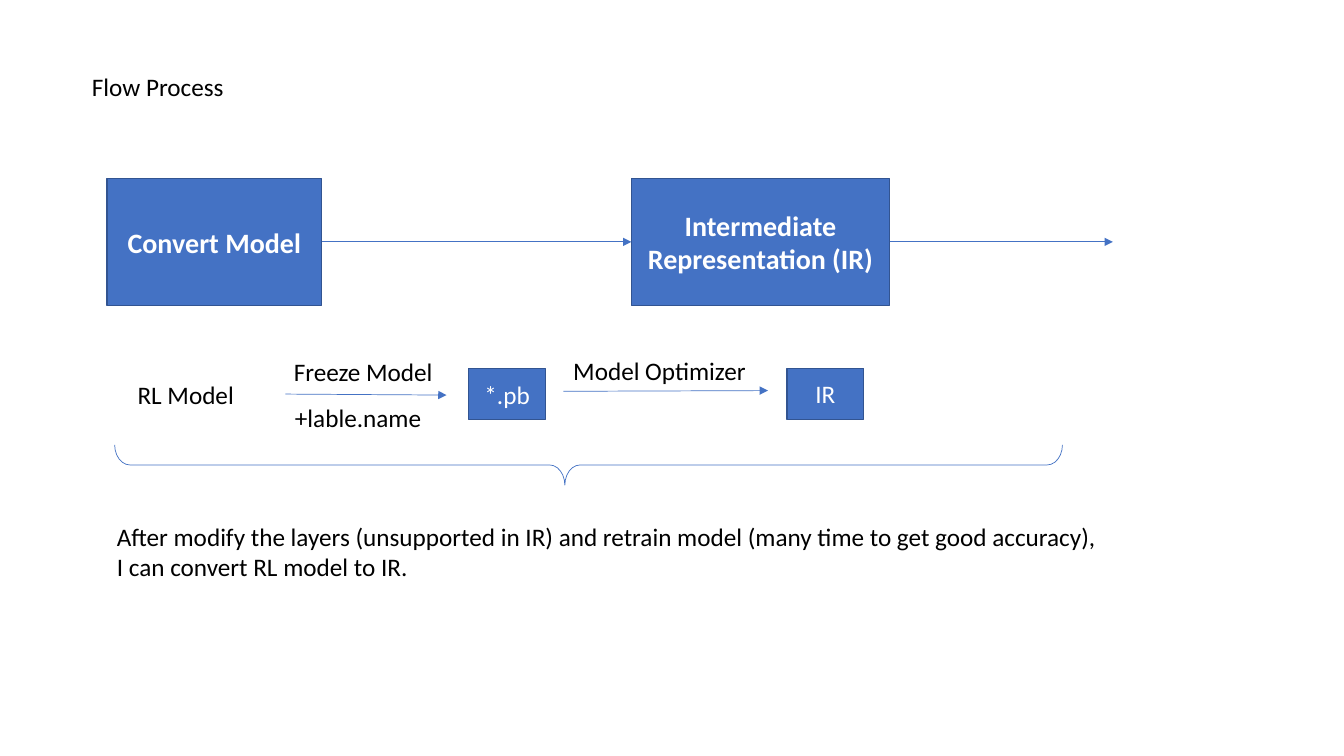
"""Build the flow process slide, from model conversion to intermediate representation."""
from dataclasses import dataclass
from typing import Optional

from lxml import etree
from pptx import Presentation
from pptx.dml.color import RGBColor
from pptx.enum.shapes import MSO_CONNECTOR, MSO_SHAPE
from pptx.enum.text import MSO_ANCHOR, MSO_AUTO_SIZE, PP_ALIGN
from pptx.oxml.ns import qn
from pptx.shapes.autoshape import Shape
from pptx.slide import Slide
from pptx.util import Pt

STRAIGHT = MSO_CONNECTOR.STRAIGHT
PLATE, RECTANGLE, BRACE = MSO_SHAPE.PENTAGON, MSO_SHAPE.RECTANGLE, MSO_SHAPE.LEFT_BRACE
TOP, MIDDLE = MSO_ANCHOR.TOP, MSO_ANCHOR.MIDDLE
LEFT, CENTER = PP_ALIGN.LEFT, PP_ALIGN.CENTER
GROW = MSO_AUTO_SIZE.SHAPE_TO_FIT_TEXT

COLORS = {"blue": "4472C4", "edge": "325491", "white": "FFFFFF", "black": "000000"}
FONT = "Calibri"
LEFT_SIDE, RIGHT_SIDE = 1, 3
LABEL_HEIGHT = 29.1
LABEL_FRAME = {"word_wrap": False, "auto_size": GROW, "vertical_anchor": TOP}
BOX_FRAME = {"word_wrap": True, "vertical_anchor": MIDDLE}


@dataclass
class Box:
    """A filled box with centred text."""

    text: str
    left: float
    top: float
    width: float
    height: float
    kind: MSO_SHAPE = RECTANGLE
    size: float = 18
    bold: bool = False


@dataclass
class Label:
    """A line or more of plain text."""

    text: str
    left: float
    top: float
    width: float
    height: float = LABEL_HEIGHT


@dataclass
class Arrow:
    """An arrow, joined to a box at either end where one is named."""

    start: tuple[float, float]
    end: tuple[float, float]
    source: Optional[str] = None
    target: Optional[str] = None


STAGE = {"top": 127.4, "height": 90.7, "kind": PLATE, "size": 20, "bold": True}
FILE = {"width": 54.8, "height": 36.6}
CONVERT, REPRESENTATION = "Convert Model", "Intermediate Representation (IR)"
BOXES = [
    Box(CONVERT, 76.4, width=153.4, **STAGE),
    Box(REPRESENTATION, 451, width=184.4, **STAGE),
    Box("*.pb", 334.8, 263.2, **FILE),
    Box("IR", 562.2, 263, **FILE),
]
ARROWS = [
    Arrow((229.8, 172.75), (451, 172.75), CONVERT, REPRESENTATION),
    Arrow((635.4, 172.75), (794.9, 172.75), REPRESENTATION),
    Arrow((203.8, 281.5), (319, 282.2)),
    Arrow((402.4, 279.5), (548.6, 279)),
]
TITLE = Label("Flow Process", 58.4, 47, 109.4)
LABELS = [
    Label("Freeze Model", 202.8, 250.8, 115.2),
    Label("+lable.name", 203.6, 284, 105.8),
    Label("Model Optimizer", 402.4, 250.2, 139),
    Label("RL Model", 91.2, 267.2, 84.2),
    Label(
        "After modify the layers (unsupported in IR) and retrain model "
        "(many time to get good accuracy),\nI can convert RL model to IR.",
        76.4, 368.8, 723, 50.9,
    ),
]


def set_all(target: object, values: dict) -> None:
    """Set each named attribute of the target."""
    for name, value in values.items():
        setattr(target, name, value)


def write_text(shape: Shape, text: str, frame: dict, align: PP_ALIGN,
               color: str, size: float = 18, bold: bool = False) -> None:
    """Write formatted paragraphs into a shape."""
    set_all(shape.text_frame, frame)
    shape.text_frame.text = text
    for para in shape.text_frame.paragraphs:
        set_all(para, {"alignment": align, "line_spacing": 1.0, "space_before": Pt(0)})
        for span in para.runs:
            set_all(span.font, {"name": FONT, "size": Pt(size), "bold": bold})
            span.font.color.rgb = RGBColor.from_string(COLORS[color])


def set_line(item: object, color: str, width: float) -> None:
    """Set the line colour and width of a shape or connector."""
    item.line.color.rgb = RGBColor.from_string(COLORS[color])
    item.line.width = Pt(width)


def draw_box(page: Slide, box: Box) -> Shape:
    """Draw one box and return it for joining."""
    shape = page.shapes.add_shape(
        box.kind, Pt(box.left), Pt(box.top), Pt(box.width), Pt(box.height))
    if box.kind == PLATE:
        shape.adjustments[0] = 0
    shape.shadow.inherit = False
    shape.fill.solid()
    shape.fill.fore_color.rgb = RGBColor.from_string(COLORS["blue"])
    set_line(shape, "edge", 1)
    write_text(shape, box.text, BOX_FRAME, CENTER, "white", box.size, box.bold)
    return shape


def draw_arrow(page: Slide, arrow: Arrow, shapes: dict[str, Shape]) -> None:
    """Draw one arrow and join it to its boxes."""
    line = page.shapes.add_connector(
        STRAIGHT, *(Pt(value) for value in arrow.start + arrow.end))
    if arrow.source:
        line.begin_connect(shapes[arrow.source], RIGHT_SIDE)
    if arrow.target:
        line.end_connect(shapes[arrow.target], LEFT_SIDE)
    set_line(line, "blue", 0.5)
    etree.SubElement(line.line._get_or_add_ln(), qn("a:tailEnd"), type="triangle")
    etree.SubElement(line._element.spPr, qn("a:effectLst"))


def draw_label(page: Slide, label: Label) -> None:
    """Draw one plain text box."""
    shape = page.shapes.add_textbox(
        Pt(label.left), Pt(label.top), Pt(label.width), Pt(label.height))
    write_text(shape, label.text, LABEL_FRAME, LEFT, "black")


def place_title(page: Slide, label: Label) -> None:
    """Move and format the title placeholder."""
    title = page.shapes.title
    set_all(title, {name: Pt(getattr(label, name))
                    for name in ("left", "top", "width", "height")})
    write_text(title, label.text, LABEL_FRAME, LEFT, "black")


def draw_brace(page: Slide) -> None:
    """Draw the brace under the conversion steps."""
    brace = page.shapes.add_shape(BRACE, Pt(406), Pt(-6.4), Pt(28.8), Pt(677))
    brace.rotation = 270
    brace.adjustments[0], brace.adjustments[1] = 0.38, 0.475
    brace.shadow.inherit = False
    brace.fill.background()
    set_line(brace, "blue", 0.5)


def main() -> None:
    """Build and save the deck."""
    deck = Presentation()
    set_all(deck, {"slide_width": Pt(960), "slide_height": Pt(540)})
    page = deck.slides.add_slide(deck.slide_layouts.get_by_name("Title Only"))
    place_title(page, TITLE)
    shapes = {box.text: draw_box(page, box) for box in BOXES}
    for arrow in ARROWS:
        draw_arrow(page, arrow, shapes)
    for label in LABELS:
        draw_label(page, label)
    draw_brace(page)
    deck.save("out.pptx")


if __name__ == "__main__":
    main()
